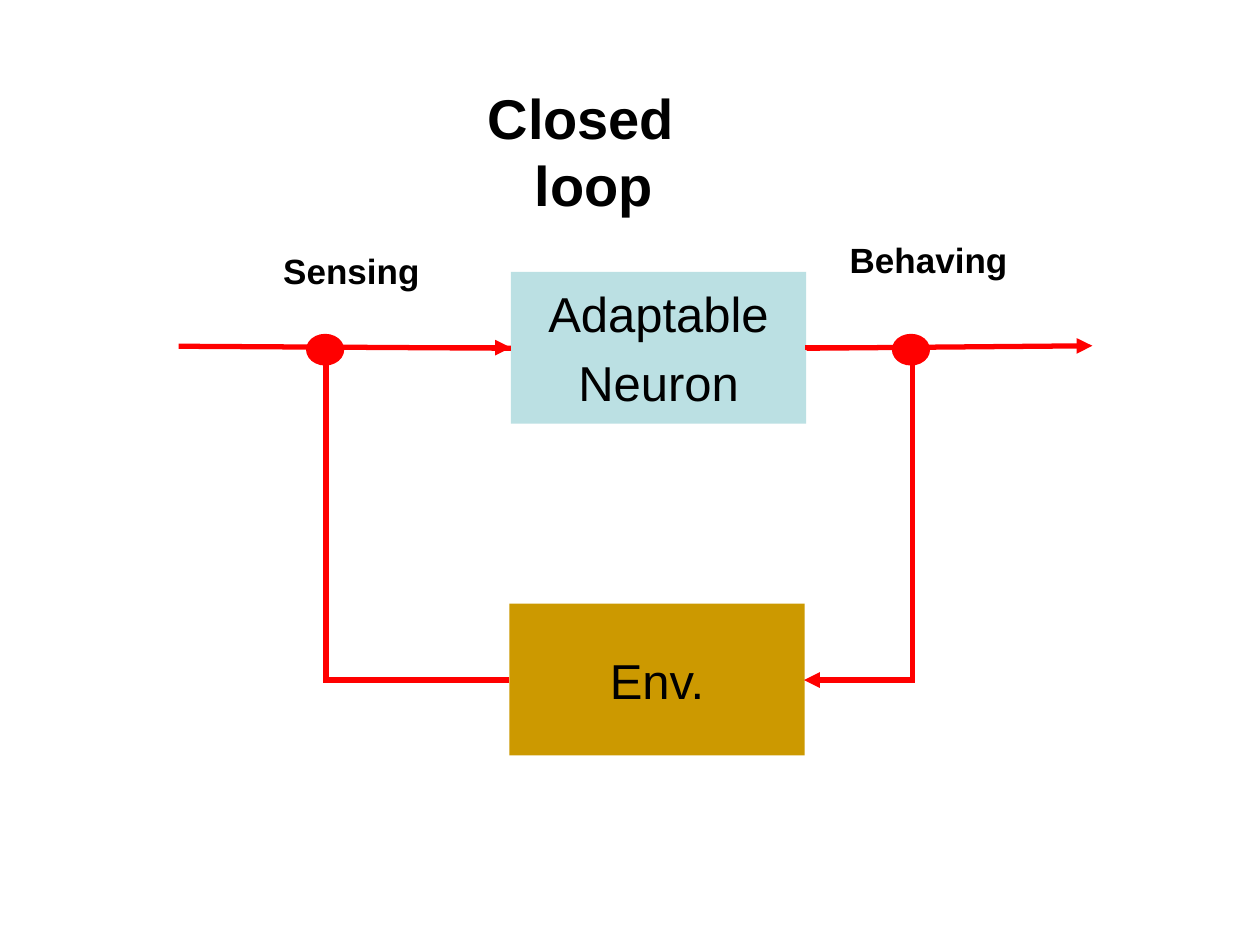
from lxml import etree
from pptx import Presentation
from pptx.dml.color import RGBColor
from pptx.enum.shapes import MSO_CONNECTOR, MSO_SHAPE
from pptx.enum.text import MSO_ANCHOR, MSO_AUTO_SIZE, PP_ALIGN
from pptx.oxml.ns import qn
from pptx.util import Cm, Pt

RECT, OVAL = MSO_SHAPE.RECTANGLE, MSO_SHAPE.OVAL
LINE, ELBOW = MSO_CONNECTOR.STRAIGHT, MSO_CONNECTOR.ELBOW
LEFT, CENTER = PP_ALIGN.LEFT, PP_ALIGN.CENTER
MIDDLE = MSO_ANCHOR.MIDDLE
GROW = MSO_AUTO_SIZE.SHAPE_TO_FIT_TEXT

BLACK = RGBColor(0x00, 0x00, 0x00)
RED = RGBColor(0xFF, 0x00, 0x00)
AQUA = RGBColor(0xBB, 0xE0, 0xE3)
GOLD = RGBColor(0xCC, 0x99, 0x00)


def write(frame, text, size=20, bold=False, align=LEFT, gap=0, hang=0):
    frame.word_wrap = False
    for i, words in enumerate(text.split("\n")):
        para = frame.add_paragraph() if i else frame.paragraphs[0]
        para.alignment = align
        if i:
            para.space_before = Pt(gap)
        if hang:
            props = para._p.get_or_add_pPr()
            props.set("marL", str(Cm(hang)))
            props.set("indent", str(-Cm(hang)))
        run = para.add_run()
        run.text = words
        run.font.name = "Arial"
        run.font.size = Pt(size)
        run.font.bold = bold
        run.font.color.rgb = BLACK


class Sketch:
    def __init__(self, slide, color, width):
        self.shapes = slide.shapes
        self.color = color
        self.width = width

    def solid(self, kind, x, y, w, h, fill):
        shape = self.shapes.add_shape(kind, Cm(x), Cm(y), Cm(w), Cm(h))
        shape.shadow.inherit = False
        shape.fill.solid()
        shape.fill.fore_color.rgb = fill
        shape.line.fill.background()
        return shape

    def block(self, x, y, fill, text):
        shape = self.solid(RECT, x, y, 5.95, 3.06, fill)
        shape.text_frame.vertical_anchor = MIDDLE
        write(shape.text_frame, text, size=28, align=CENTER, gap=5.6)

    def node(self, x, y):
        self.solid(OVAL, x, y, 0.77, 0.64, self.color)

    def wire(self, start, end, arrow=False, bend=None):
        kind = LINE if bend is None else ELBOW
        ends = [Cm(n) for n in (*start, *end)]
        wire = self.shapes.add_connector(kind, *ends)
        wire.line.color.rgb = self.color
        wire.line.width = Pt(self.width)
        props = wire._element.spPr
        etree.SubElement(props, qn("a:effectLst"))
        stroke = wire.line._get_or_add_ln()
        etree.SubElement(stroke, qn("a:miter"), lim="800000")
        if bend is not None:
            ratio = (bend - start[0]) / (end[0] - start[0])
            guides = props.find(qn("a:prstGeom")).get_or_add_avLst()
            etree.SubElement(guides, qn("a:gd"), name="adj1",
                             fmla=f"val {round(ratio * 100000)}")
        if arrow:
            etree.SubElement(stroke, qn("a:tailEnd"), type="triangle")

    def label(self, x, y, w, h, text, **style):
        box = self.shapes.add_textbox(Cm(x), Cm(y), Cm(w), Cm(h))
        box.text_frame.auto_size = GROW
        write(box.text_frame, text, bold=True, **style)


def main():
    deck = Presentation()
    deck.slide_width, deck.slide_height = Cm(25.4), Cm(19.05)
    art = Sketch(deck.slides.add_slide(deck.slide_layouts[6]), RED, 3)

    art.block(10.3, 5.48, AQUA, "Adaptable\nNeuron")
    art.block(10.27, 12.17, GOLD, "Env.")

    art.wire((16.23, 7.01), (16.21, 13.71), arrow=True, bend=18.39)
    art.wire((10.27, 13.71), (10.3, 7.01), arrow=True, bend=6.57)
    art.wire((3.6, 6.98), (10.3, 7.02))
    art.wire((16.26, 7.02), (22.02, 6.97), arrow=True)
    for x in (6.17, 17.98):
        art.node(x, 6.73)

    art.label(9.58, 1.55, 6.96, 1.6, "Closed loop", size=32, hang=0.95)
    art.label(5.46, 4.9, 3.3, 1.09, "Sensing")
    art.label(16.88, 4.68, 3.8, 1.09, "Behaving")
    deck.save("out.pptx")


if __name__ == "__main__":
    main()
